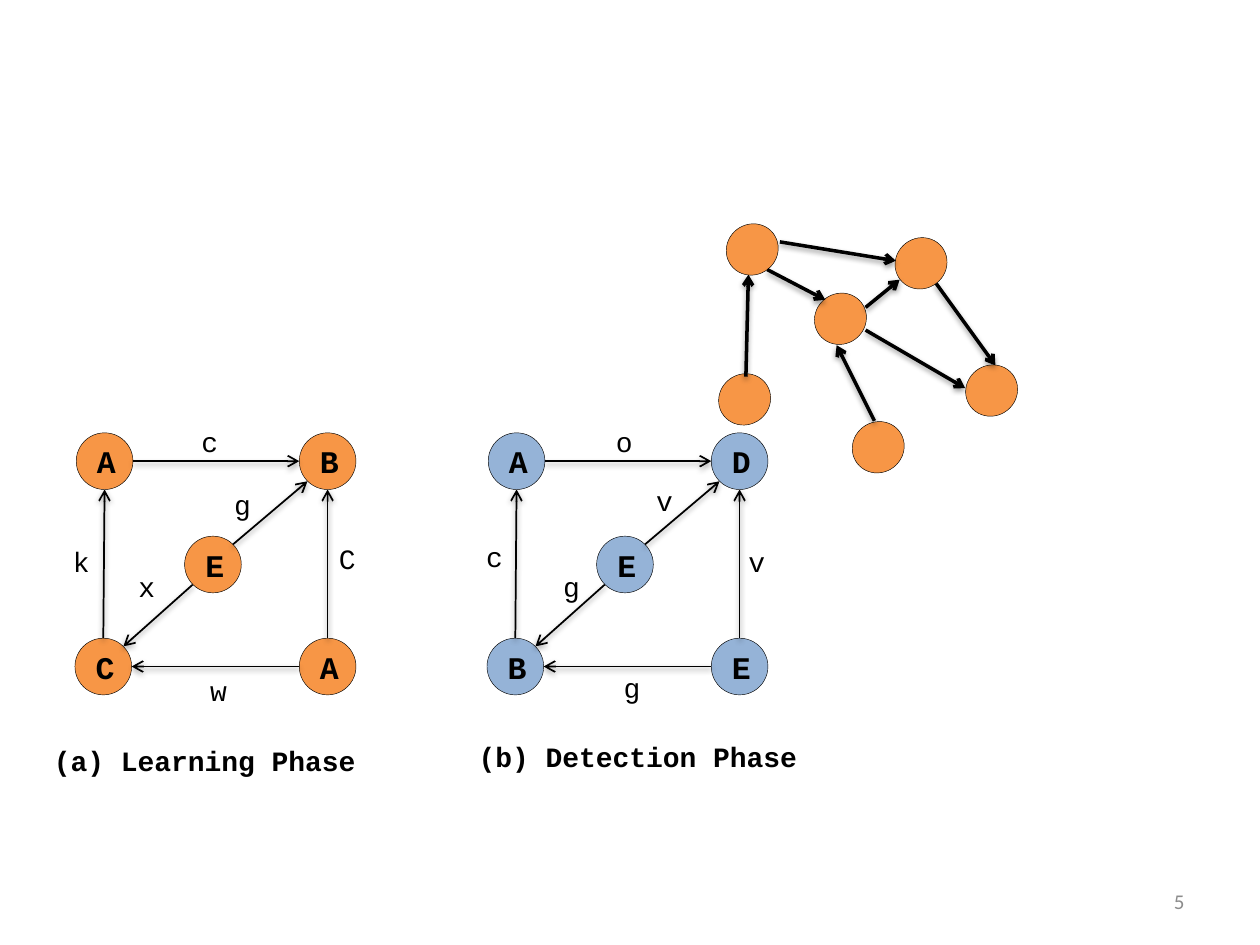
"""Build the slide with the learning graph, the detection graph and a loose graph."""
from lxml import etree
from pptx import Presentation
from pptx.dml.color import RGBColor
from pptx.enum.shapes import MSO_CONNECTOR as Link, MSO_SHAPE as Shape
from pptx.enum.text import MSO_ANCHOR as Anchor, PP_ALIGN as Align
from pptx.oxml.ns import qn
from pptx.util import Inches, Pt

BLACK = RGBColor(0, 0, 0)
GRAY = RGBColor(0x8C, 0x8C, 0x8C)
ORANGE = RGBColor(0xF7, 0x96, 0x46)
BLUE = RGBColor(0x95, 0xB3, 0xD7)
MONO = "Courier New"

deck = Presentation()
deck.slide_width, deck.slide_height = Inches(10), Inches(7.5)
slide = deck.slides.add_slide(deck.slide_layouts[6])


def draw(group, kind, ends, width=None, fill=None):
    if kind == "arrow":
        item = group.shapes.add_connector(Link.STRAIGHT, *map(Inches, ends))
        item.line.width = Pt(width)
        etree.SubElement(item.line._get_or_add_ln(), qn("a:tailEnd"), type="arrow")
    else:
        x, y, wide, high = ends
        item = group.shapes.add_shape(
            Shape.OVAL, Inches(x - wide / 2), Inches(y - high / 2), Inches(wide), Inches(high))
        item.shadow.inherit = False
        item.fill.solid()
        item.fill.fore_color.rgb = fill
        item.line.width = Pt(0.25)
    item.line.color.rgb = BLACK
    return item


def write(frame, text, size, bold=False, face=MONO, color=BLACK):
    line = frame.paragraphs[0]
    line.text = text
    font = line.font
    font.name, font.size, font.bold = face, Pt(size), bold
    font.color.rgb = color
    return line


page = slide.shapes.add_textbox(Inches(7.17), Inches(6.95), Inches(2.33), Inches(0.4)).text_frame
page.word_wrap = True
page.vertical_anchor = Anchor.MIDDLE
write(page, "5", 12, face="Calibri", color=GRAY).alignment = Align.RIGHT

cloud = slide.shapes.add_group_shape()
for x, y in [(6.67, 2.53), (5.97, 1.98), (7.31, 2.09), (6.97, 3.55), (5.91, 3.17), (7.87, 3.1)]:
    draw(cloud, "node", (x, y, 0.4, 0.42), fill=ORANGE).rotation = 52.1
for ends in [
    (6.09, 2.14, 6.55, 2.38), (6.87, 2.44, 7.14, 2.22), (6.87, 2.62, 7.66, 3.08),
    (6.94, 3.34, 6.64, 2.74), (7.43, 2.25, 7.9, 2.9), (5.92, 2.99, 5.94, 2.18),
    (6.19, 1.92, 7.11, 2.07),
]:
    draw(cloud, "arrow", ends, 2)

SIZE = 0.45
HALF = SIZE / 2
DIAG = 0.71
STEP = 3.27
SPOTS = [(0.83, 3.66), (2.6, 3.66), (1.69, 4.48), (0.82, 5.29), (2.6, 5.29)]
EDGES = [(4, 1, 0, -1), (4, 3, -1, 0), (3, 0, 0, -1), (0, 1, 1, 0),
         (2, 3, -DIAG, DIAG), (2, 1, DIAG, -DIAG)]

for side, (names, fill) in enumerate([("ABECA", ORANGE), ("ADEBE", BLUE)]):
    graph = slide.shapes.add_group_shape()
    spots = [(x + side * STEP, y) for x, y in SPOTS]
    for (x, y), name in zip(spots, names):
        node = draw(graph, "node", (x, y, SIZE, SIZE), fill=fill)
        write(node.text_frame, name, 18, True).alignment = Align.CENTER
    for start, end, dx, dy in EDGES:
        (x1, y1), (x2, y2) = spots[start], spots[end]
        ends = (x1 + HALF * dx, y1 + HALF * dy, x2 - HALF * dx, y2 - HALF * dy)
        draw(graph, "arrow", ends, 1)

MARK = 0.38
for text, x, y, wide in [
    ("c", 1.5, 3.32, MARK), ("g", 1.76, 3.82, MARK), ("x", 1, 4.47, MARK),
    ("k", 0.48, 4.27, MARK), ("C", 2.59, 4.25, MARK), ("w", 1.57, 5.3, MARK),
    ("c", 3.76, 4.23, MARK), ("g", 4.37, 4.47, MARK), ("o", 4.79, 3.32, MARK),
    ("v", 5.11, 3.79, MARK), ("v", 5.84, 4.27, MARK), ("g", 4.85, 5.27, MARK),
    ("(a) Learning Phase", 0.33, 5.85, 2.62), ("(b) Detection Phase", 3.7, 5.82, 2.75),
]:
    label = slide.shapes.add_textbox(Inches(x), Inches(y), Inches(wide), Inches(0.37))
    write(label.text_frame, text, 16, wide > MARK)

deck.save("out.pptx")
